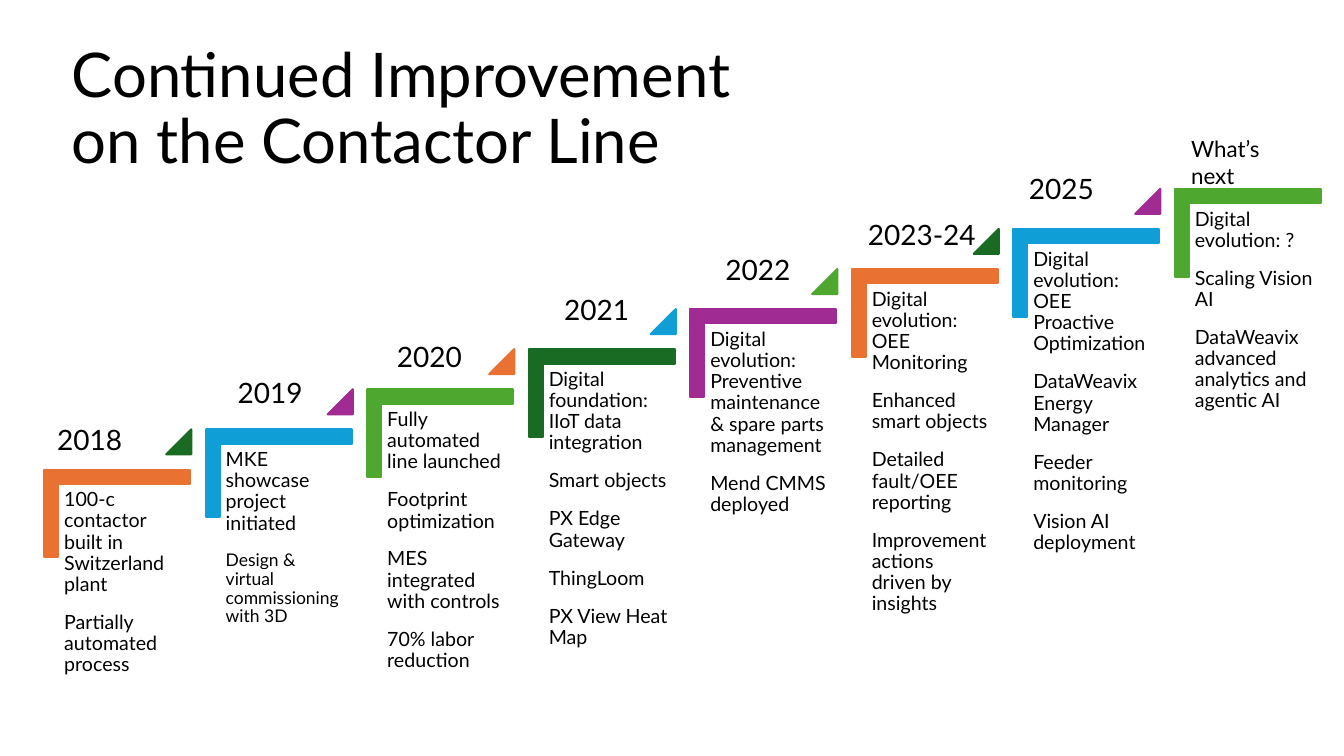
from pptx import Presentation
from pptx.dml.color import RGBColor
from pptx.enum.shapes import MSO_SHAPE
from pptx.enum.text import MSO_ANCHOR, MSO_AUTO_SIZE, PP_ALIGN
from pptx.util import Cm, Pt

CORNER = MSO_SHAPE.CORNER
TRIANGLE = MSO_SHAPE.ISOSCELES_TRIANGLE
LEFT = PP_ALIGN.LEFT
MIDDLE, TOP = MSO_ANCHOR.MIDDLE, MSO_ANCHOR.TOP
NO_FIT, GROW = MSO_AUTO_SIZE.NONE, MSO_AUTO_SIZE.SHAPE_TO_FIT_TEXT

BLACK = RGBColor(0x00, 0x00, 0x00)
ORANGE = RGBColor(0xE9, 0x71, 0x32)
BLUE = RGBColor(0x0F, 0x9E, 0xD5)
GREEN = RGBColor(0x4E, 0xA7, 0x2E)
DARK_GREEN = RGBColor(0x19, 0x6B, 0x24)
PURPLE = RGBColor(0xA0, 0x2B, 0x93)
STEP_COLORS = [ORANGE, BLUE, GREEN, DARK_GREEN, PURPLE]

# Each step rises to the right by the same amount
STEP_X, STEP_Y = 4.07, 1.01

# Year label: text, left, top, width, size; then the milestones of the step
STEPS = [
    (("2018", 1.19, 10.52, 2.72, 20),
     ["100-c contactor built in Switzerland plant",
      "Partially automated process"]),
    (("2019", 5.74, 9.35, 2.72, 20),
     ["MKE showcase project initiated",
      "Design & virtual commissioning with 3D"]),
    (("2020", 9.75, 8.43, 2.72, 20),
     ["Fully automated line launched", "Footprint optimization",
      "MES integrated with controls", "70% labor reduction"]),
    (("2021", 13.97, 7.24, 2.72, 20),
     ["Digital foundation: IIoT data integration", "Smart objects",
      "PX Edge Gateway", "ThingLoom", "PX View Heat Map"]),
    (("2022", 18.03, 6.25, 2.72, 20),
     ["Digital evolution: Preventive maintenance & spare parts management",
      "Mend CMMS deployed"]),
    (("2023-24", 21.62, 5.36, 3.38, 20),
     ["Digital evolution: OEE Monitoring", "Enhanced smart objects",
      "Detailed fault/OEE reporting",
      "Improvement actions driven by insights"]),
    (("2025", 25.68, 4.19, 3.38, 20),
     ["Digital evolution: OEE Proactive Optimization",
      "DataWeavix Energy Manager", "Feeder monitoring",
      "Vision AI deployment"]),
    (("What’s next", 29.77, 3.28, 3.38, 16),
     ["Digital evolution: ?", "Scaling Vision AI",
      "DataWeavix advanced analytics and agentic AI"]),
]
SMALL_SIZES = {(1, 1): 12.5}  # (step, milestone): size


class Staircase:
    font = "Lato"

    def __init__(self, page):
        self.page = page

    def style(self, para, size):
        para.alignment = LEFT
        para.font.name = self.font
        para.font.size = Pt(size)
        para.font.color.rgb = BLACK

    def title(self, text, left, top, width, height):
        box = self.page.shapes.title
        box.left, box.top, box.width, box.height = map(Cm, (left, top, width, height))
        frame = box.text_frame
        frame.text = text
        frame.word_wrap = True
        frame.auto_size = NO_FIT
        frame.vertical_anchor = MIDDLE
        para = frame.paragraphs[0]
        self.style(para, 44)
        para.line_spacing = 0.9

    def shape(self, kind, left, top, width, height, color, adjustments):
        shape = self.page.shapes.add_shape(kind, *map(Cm, (left, top, width, height)))
        for index, value in enumerate(adjustments):
            shape.adjustments[index] = value
        shape.shadow.inherit = False
        shape.fill.solid()
        shape.fill.fore_color.rgb = color
        shape.line.color.rgb = color
        shape.line.width = Pt(1.5)
        return shape

    def text_frame(self, left, top, width, height, fit):
        box = self.page.shapes.add_textbox(*map(Cm, (left, top, width, height)))
        frame = box.text_frame
        frame.word_wrap = True
        frame.auto_size = fit
        frame.vertical_anchor = TOP
        return frame

    def milestones(self, step, texts, left, top):
        frame = self.text_frame(left, top, 3.33, 2.92, NO_FIT)
        frame.margin_left = frame.margin_right = Cm(0.15)
        frame.margin_top = frame.margin_bottom = Cm(0.15)
        for index, text in enumerate(texts):
            para = frame.paragraphs[0] if index == 0 else frame.add_paragraph()
            para.text = text
            self.style(para, SMALL_SIZES.get((step, index), 14))
            para.line_spacing = 0.9
            para.space_after = Pt(12)

    def year(self, text, left, top, width, size):
        frame = self.text_frame(left, top, width, 1.13 if size == 20 else 0.94, GROW)
        frame.text = text
        self.style(frame.paragraphs[0], size)


def main():
    deck = Presentation()
    deck.slide_width, deck.slide_height = Cm(33.87), Cm(19.05)
    page = deck.slides.add_slide(deck.slide_layouts[5])
    stairs = Staircase(page)
    stairs.title("Continued Improvement on the Contactor Line", 1.55, 0.71, 18.03, 4.14)

    # Steps: corner, milestones and a triangle pointing to the next step
    for step, (_, texts) in enumerate(STEPS):
        right, up = step * STEP_X, step * STEP_Y
        color = STEP_COLORS[step % len(STEP_COLORS)]
        corner = stairs.shape(CORNER, 1.85 + right, 11.1 - up, 2.21, 3.68,
                              color, [0.161, 0.161])
        corner.rotation = 90
        stairs.milestones(step, texts, 1.47 + right, 12.19 - up)
        if step < len(STEPS) - 1:
            color = STEP_COLORS[(step + 3) % len(STEP_COLORS)]
            stairs.shape(TRIANGLE, 4.19 + right, 10.82 - up, 0.63, 0.63, color, [1])

    # Year labels
    for label, _ in STEPS:
        stairs.year(*label)

    deck.save("out.pptx")


if __name__ == "__main__":
    main()
